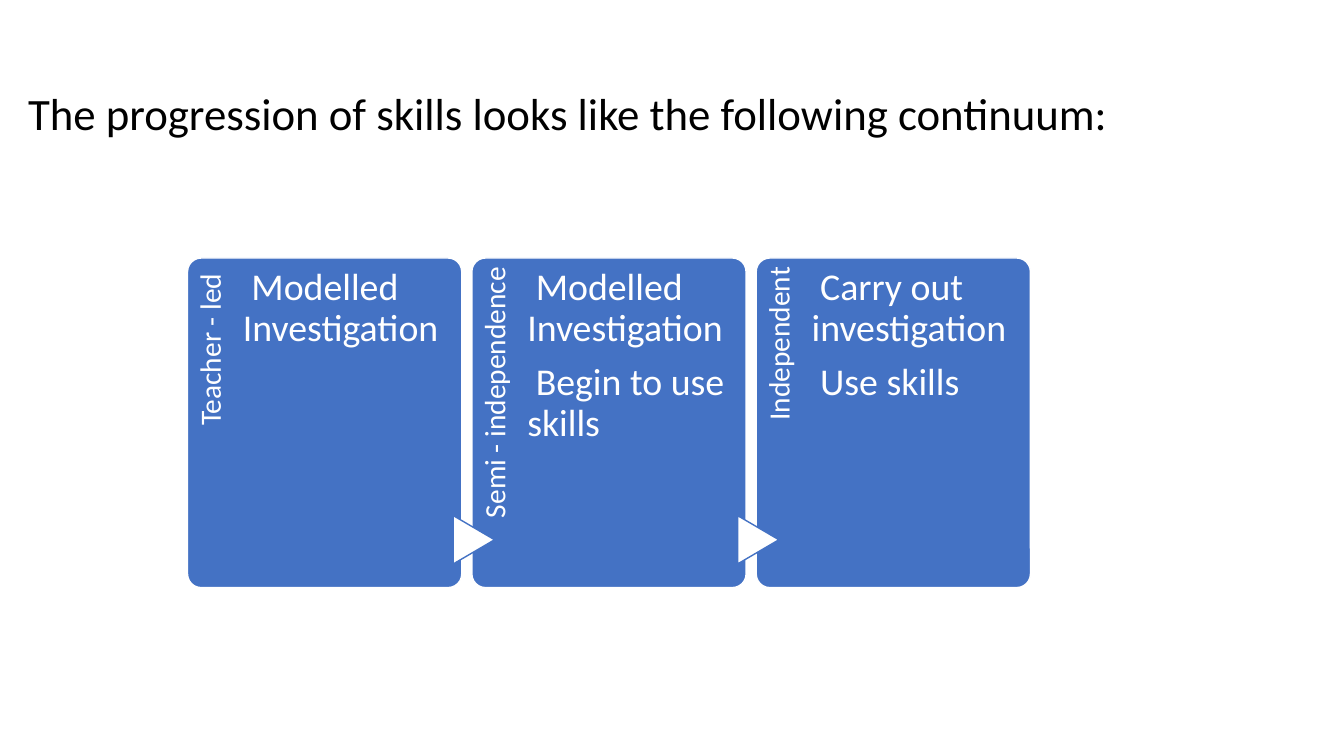
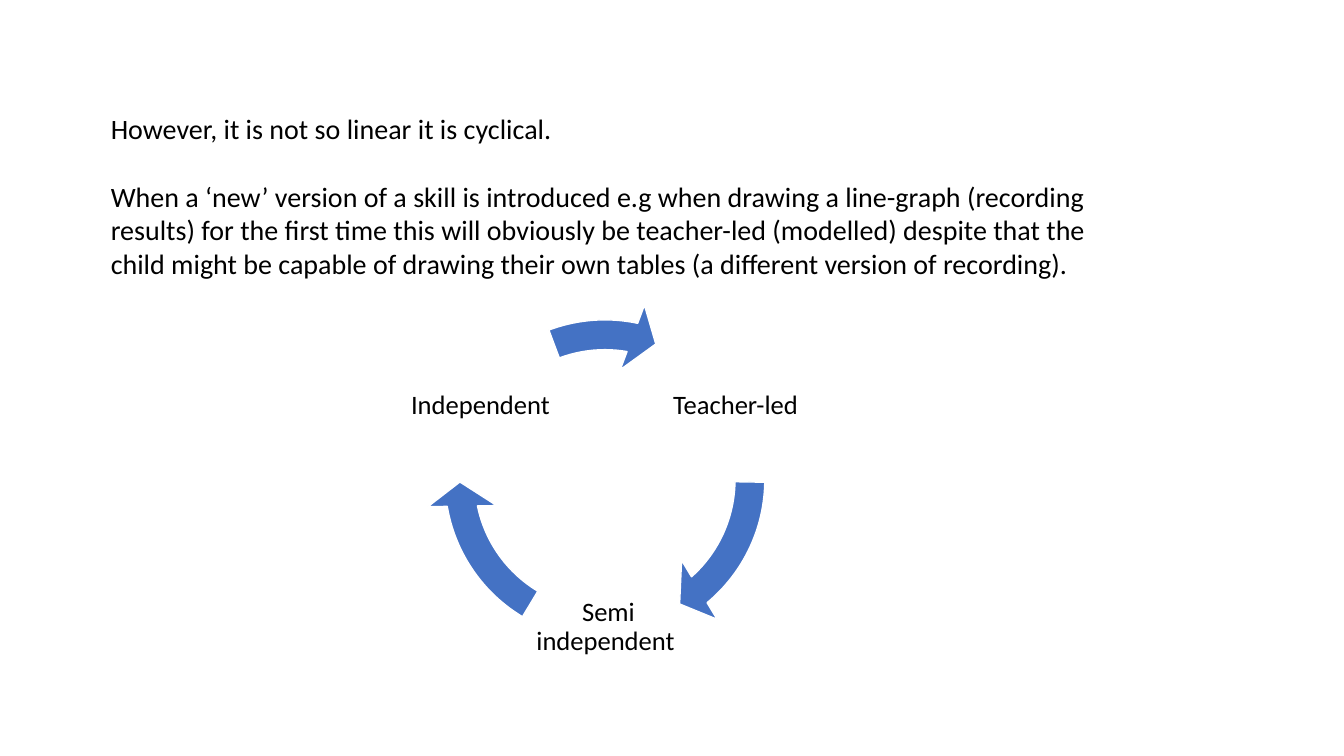
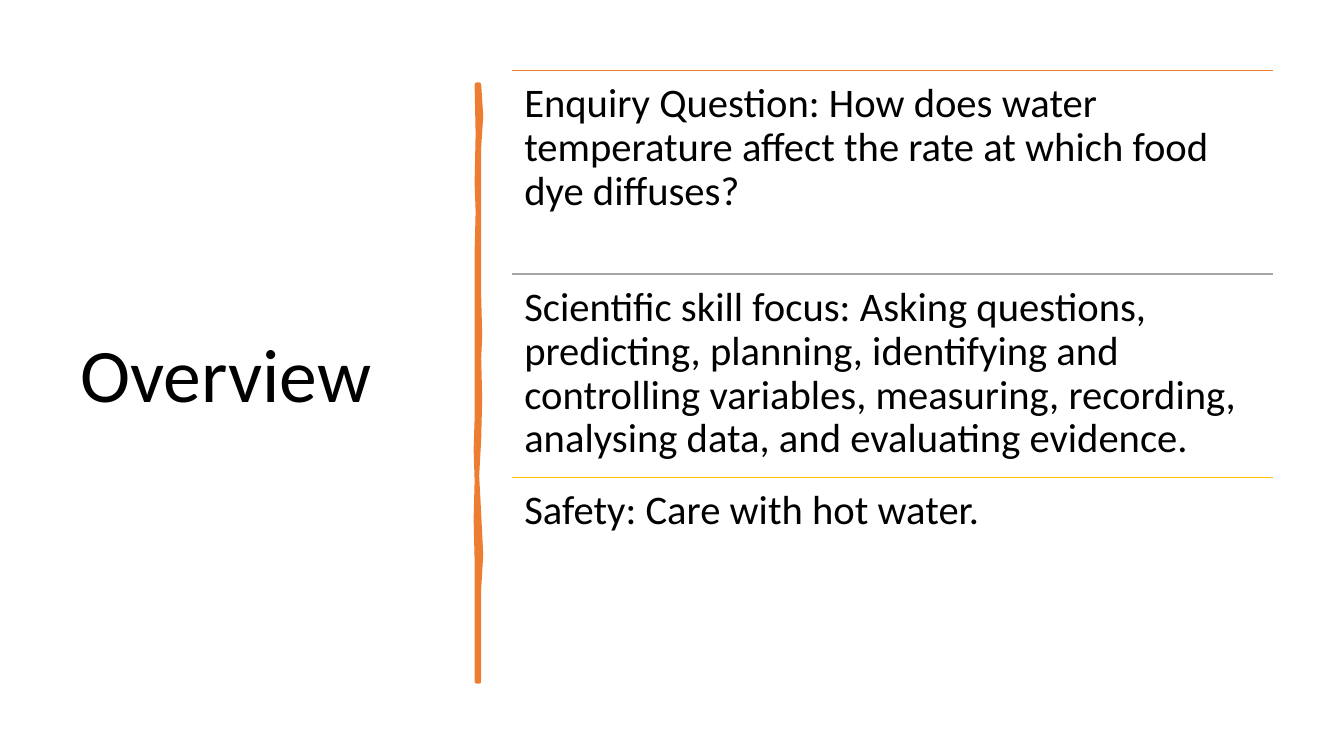
from dataclasses import dataclass

from lxml import etree
from pptx import Presentation
from pptx import util as u
from pptx.dml.color import RGBColor
from pptx.enum import shapes, text
from pptx.oxml.ns import qn

IN = u.Inches
KIND = shapes.MSO_SHAPE
ALIGN = text.PP_ALIGN
ANCHOR = text.MSO_ANCHOR


@dataclass(frozen=True)
class Theme:
    font: str = "Calibri"
    ink: str = "000000"
    white: str = "FFFFFF"
    blue: str = "4472C4"
    orange: str = "ED7D31"
    grey: str = "A5A5A5"
    gold: str = "FFC000"
    title: int = 54
    lead: int = 32
    row: int = 29
    item: int = 27
    tag: int = 21
    body: int = 20
    node: int = 19


T = Theme()


@dataclass(frozen=True)
class Box:
    left: float
    top: float
    width: float
    height: float

    def emu(self) -> tuple:
        return IN(self.left), IN(self.top), IN(self.width), IN(self.height)


@dataclass(frozen=True)
class Style:
    size: int
    color: str = T.ink
    align: ALIGN = ALIGN.LEFT
    anchor: ANCHOR = ANCHOR.TOP
    inset: tuple = (0.1, 0.05, 0.1, 0.05)
    lines: float = 1.0
    after: float = 0.0  # share of the type size


@dataclass(frozen=True)
class Card:
    tag: str
    items: tuple


@dataclass(frozen=True)
class Stage:
    name: str
    left: float
    top: float
    head: float
    tail: float


@dataclass(frozen=True)
class Row:
    color: str
    words: str


LEAD = Style(T.lead)
BODY = Style(T.body, after=1.2)
TITLE = Style(T.title, anchor=ANCHOR.MIDDLE, lines=0.9)
TAG = Style(T.tag, T.white, ALIGN.RIGHT, inset=(0, 0.08, 0.1, 0), lines=0.9, after=0.35)
ITEM = Style(T.item, T.white, inset=(0, 0.1, 0, 0), lines=0.9, after=0.35)
NODE = Style(T.node, align=ALIGN.CENTER, anchor=ANCHOR.MIDDLE, inset=(0.03,) * 4,
             lines=0.9, after=0.35)
ROW = Style(T.row, inset=(0.12,) * 4, lines=0.9, after=0.35)

CARDS = (
    Card("Teacher - led ", (" Modelled Investigation",)),
    Card("Semi - independence", (" Modelled Investigation", " Begin to use skills")),
    Card("Independent", (" Carry out investigation", " Use skills")),
)

STAGES = (
    Stage(" Teacher-led", 6.51, 3.27, 29.62, 0.53),
    Stage(" Semi independent", 5.25, 5.47, 101.7, 72.62),
    Stage(" Independent", 3.98, 3.27, 168.55, 149.69),
)

ROWS = (
    Row(T.orange, "Enquiry Question: How does water temperature affect the rate "
                  "at which food dye diffuses?"),
    Row(T.grey, "Scientific skill focus: Asking questions, predicting, planning, "
                "identifying and controlling variables, measuring, recording, "
                "analysing data, and evaluating evidence."),
    Row(T.gold, "Safety: Care with hot water."),
)

# Outline of the brush stroke: down the right edge, up the left.
STROKE = (
    (4.75, 0.84), (4.77, 1.15), (4.75, 1.46), (4.75, 1.85), (4.75, 2.26),
    (4.75, 2.94), (4.76, 3.33), (4.75, 3.56), (4.76, 3.95), (4.75, 4.36),
    (4.73, 4.72), (4.75, 5.1), (4.77, 5.5), (4.75, 5.84), (4.75, 6.28),
    (4.75, 6.76), (4.73, 6.76), (4.73, 6.4), (4.73, 6.13), (4.73, 5.57),
    (4.72, 5.15), (4.73, 4.77), (4.72, 4.46), (4.73, 4.15), (4.73, 3.35),
    (4.73, 2.5), (4.74, 2.1), (4.73, 1.81), (4.74, 1.33), (4.73, 0.84),
)


def write(slide, box: Box, lines: tuple, style: Style, turn: float = 0) -> None:
    shape = slide.shapes.add_textbox(*box.emu())
    shape.rotation = turn
    frame = shape.text_frame
    frame.word_wrap = True
    frame.vertical_anchor = style.anchor
    (frame.margin_left, frame.margin_top,
     frame.margin_right, frame.margin_bottom) = map(IN, style.inset)
    for n, line in enumerate(lines):
        para = frame.add_paragraph() if n else frame.paragraphs[0]
        para.text = line
        para.alignment = style.align
        para.line_spacing = style.lines
        para.space_after = u.Pt(style.size * style.after)
        para.font.name = T.font
        para.font.size = u.Pt(style.size)
        para.font.color.rgb = RGBColor.from_string(style.color)


def paint(shape, fill: str, line: str, width: float = 1) -> None:
    shape.shadow.inherit = False
    shape.fill.solid()
    shape.fill.fore_color.rgb = RGBColor.from_string(fill)
    shape.line.color.rgb = RGBColor.from_string(line)
    shape.line.width = u.Pt(width)


def draw(slide, kind: KIND, box: Box, fill: str, line: str,
         adjust: tuple = (), turn: float = 0) -> None:
    shape = slide.shapes.add_shape(kind, *box.emu())
    shape.rotation = turn
    for n, value in enumerate(adjust):
        shape.adjustments[n] = value
    paint(shape, fill, line)


def rule(slide, left: float, top: float, width: float, color: str) -> None:
    """Draw a thin level line."""
    line = slide.shapes.add_connector(
        shapes.MSO_CONNECTOR.STRAIGHT, IN(left), IN(top), IN(left + width), IN(top))
    line.line.color.rgb = RGBColor.from_string(color)
    line.line.width = u.Pt(1)
    etree.SubElement(line.element.spPr, qn("a:effectLst"))


def brush(slide) -> None:
    first, *rest = [(IN(x), IN(y)) for x, y in STROKE]
    pen = slide.shapes.build_freeform(*first)
    pen.add_line_segments(rest, close=True)
    paint(pen.convert_to_shape(), T.orange, T.orange, 3.25)


def steps(slide) -> None:
    write(slide, Box(0.18, 0.8, 11.73, 0.94),
          ("The progression of skills looks like the following continuum:",), LEAD)
    top, high = 2.56, 3.27
    for n, card in enumerate(CARDS):
        left = 1.86 + 2.82 * n
        draw(slide, KIND.ROUNDED_RECTANGLE, Box(left, top, 2.72, high),
             T.blue, T.white, (0.05,))
        write(slide, Box(left - 1.07, 3.62, 2.68, 0.54), (card.tag,), TAG, 270)
        if n:
            draw(slide, KIND.FLOWCHART_EXTRACT, Box(left - 0.22, 5.15, 0.48, 0.41),
                 T.white, T.blue, turn=90)
        write(slide, Box(left + 0.55, top, 2.03, high), card.items, ITEM)


def cycle(slide) -> None:
    write(slide, Box(1, 1.06, 9.98, 2.09), (
        "However, it is not so linear it is cyclical.",
        "When a ‘new’ version of a skill is introduced e.g when drawing a "
        "line-graph (recording results) for the first time this will obviously be "
        "teacher-led (modelled) despite that the child might be capable of drawing "
        "their own tables (a different version of recording).",
    ), BODY)
    thick, barb = 8.3 / 100, 9.6 / 100
    for stage in STAGES:
        write(slide, Box(stage.left, stage.top, 1.51, 1.51), (stage.name,), NODE)
        draw(slide, KIND.CIRCULAR_ARROW, Box(4.22, 2.98, 3.56, 3.56), T.blue, T.white,
             (thick, 5.77, stage.head, stage.tail, barb))


def recap(slide) -> None:
    write(slide, Box(0.7, 0.69, 3.74, 6.11), ("Overview",), TITLE)
    brush(slide)
    left, width, high = 5.08, 7.55, 2.02
    for n, row in enumerate(ROWS):
        top = 0.7 + high * n
        rule(slide, left, top, width, row.color)
        write(slide, Box(left, top, width, high), (row.words,), ROW)


def main() -> None:
    deck = Presentation()
    deck.slide_width, deck.slide_height = IN(13.33), IN(7.5)
    for build in (steps, cycle, recap):
        build(deck.slides.add_slide(deck.slide_layouts[6]))
    deck.save("out.pptx")


if __name__ == "__main__":
    main()
